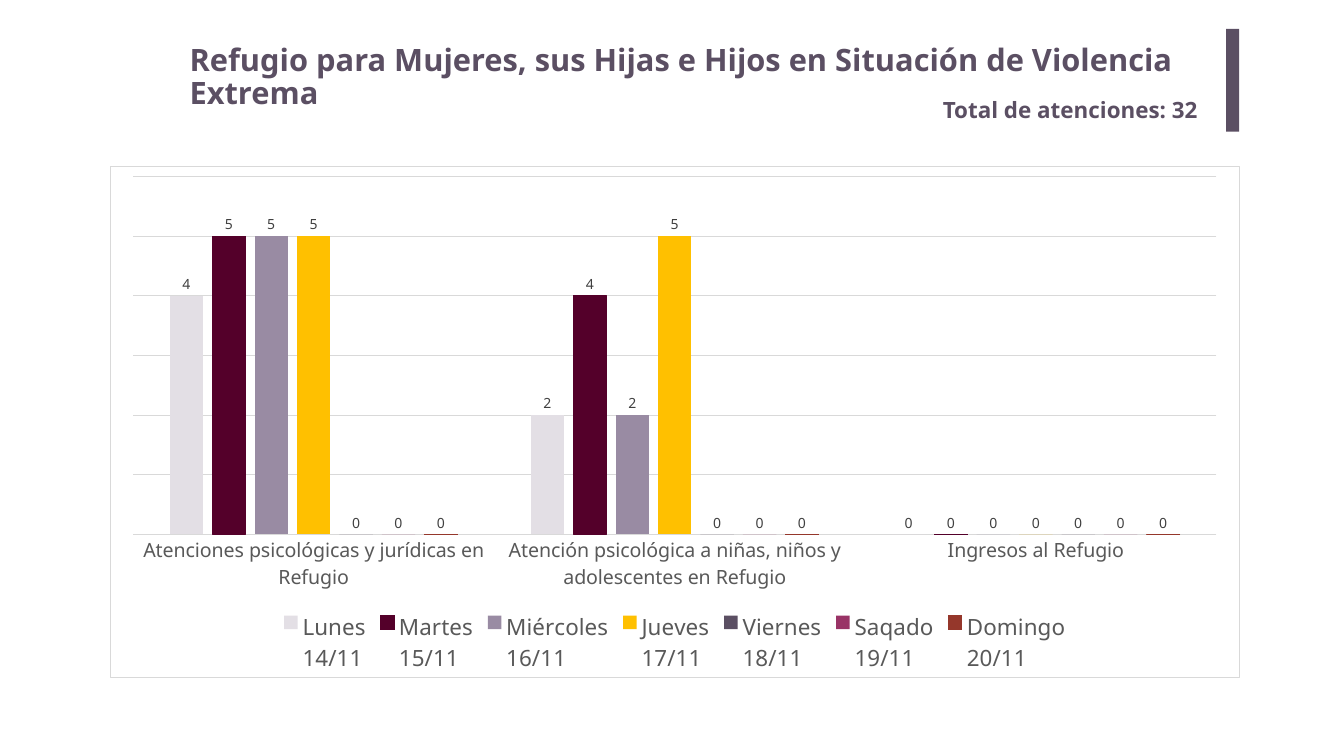
from dataclasses import dataclass

from lxml import etree
from pptx import Presentation
from pptx.chart.data import CategoryChartData
from pptx.dml.color import RGBColor
from pptx.enum import chart as ch, shapes, text
from pptx.oxml import ns, parse_xml
from pptx.util import Cm, Pt

FONT = "Noto Sans"
HUES = {
    "plum": "5B4F63", "white": "FFFFFF", "rule": "D9D9D9", "label": "404040",
    "axis": "595959", "mist": "E3DFE5", "wine": "54002A", "mauve": "998BA3",
    "gold": "FFC000", "rose": "993366", "brick": "95372B",
}


@dataclass
class Box:
    left: float
    top: float
    width: float
    height: float

    def cm(self) -> list:
        return [Cm(v) for v in (self.left, self.top, self.width, self.height)]


@dataclass
class Day:
    name: str
    date: int
    counts: tuple
    hue: str
    edged: bool = False


DAYS = [
    Day("Lunes", 14, (4, 2, 0), "mist"),
    Day("Martes", 15, (5, 4, 0), "wine", True),
    Day("Miércoles", 16, (5, 2, 0), "mauve"),
    Day("Jueves", 17, (5, 5, 0), "gold"),
    Day("Viernes", 18, (0, 0, 0), "plum"),
    Day("Saqado", 19, (0, 0, 0), "rose"),
    Day("Domingo", 20, (0, 0, 0), "brick", True),
]
GROUPS = [
    "Atenciones psicológicas y jurídicas en Refugio",
    "Atención psicológica a niñas, niños y adolescentes en Refugio",
    "Ingresos al Refugio",
]


def rgb(hue: str) -> RGBColor:
    return RGBColor.from_string(HUES[hue])


def style(font, size: float, hue: str, bold: bool = False) -> None:
    font.name, font.size, font.bold = FONT, Pt(size), bold
    font.color.rgb = rgb(hue)


def stroke(line, hue: str) -> None:
    line.color.rgb = rgb(hue)
    line.width = Pt(0.75)


def write(shape, box: Box, words: str, size: float, space: float = 1) -> None:
    shape.left, shape.top, shape.width, shape.height = box.cm()
    frame = shape.text_frame
    frame.word_wrap = True
    frame.auto_size = text.MSO_AUTO_SIZE.NONE
    frame.vertical_anchor = text.MSO_ANCHOR.TOP
    para = frame.paragraphs[0]
    para.alignment = text.PP_ALIGN.LEFT
    para.line_spacing = space
    run = para.add_run()
    run.text = words
    style(run.font, size, "plum", True)


def frame_chart(chart) -> None:
    """Set the plot area in place and give the chart a white ground and border."""
    root = chart._chartSpace
    space = ns.nsdecls("c", "a")
    spot = {"x": 0.02, "y": 0.02, "w": 0.96, "h": 0.7}
    sizes = "".join(f'<c:{k} val="{v}"/>' for k, v in spot.items())
    layout = parse_xml(
        f'<c:layout {space}><c:manualLayout><c:layoutTarget val="inner"/>'
        f'<c:xMode val="edge"/><c:yMode val="edge"/>{sizes}'
        "</c:manualLayout></c:layout>")
    area = root.find(ns.qn("c:chart")).find(ns.qn("c:plotArea"))
    for old in area.findall(ns.qn("c:layout")):
        area.remove(old)
    area.insert(0, layout)
    ground = parse_xml(
        f'<c:spPr {space}><a:solidFill><a:srgbClr val="{HUES["white"]}"/></a:solidFill>'
        f'<a:ln w="{Pt(0.75)}"><a:solidFill><a:srgbClr val="{HUES["rule"]}"/>'
        "</a:solidFill></a:ln></c:spPr>")
    root.find(ns.qn("c:chart")).addnext(ground)


def add_days(slide, box: Box) -> None:
    data = CategoryChartData()
    data.categories = GROUPS
    for day in DAYS:
        data.add_series(f"{day.name}\n{day.date}/11", day.counts)
    chart = slide.shapes.add_chart(
        ch.XL_CHART_TYPE.COLUMN_CLUSTERED, *box.cm(), data).chart
    chart.font.name, chart.font.size = FONT, Pt(10)
    chart.has_title = False

    # Axes
    cats, vals = chart.category_axis, chart.value_axis
    cats.major_tick_mark = ch.XL_TICK_MARK.NONE
    style(cats.tick_labels.font, 28, "axis")
    stroke(cats.format.line, "rule")
    vals.visible = False
    vals.minimum_scale, vals.maximum_scale, vals.major_unit = 0, 6, 1
    vals.has_major_gridlines = True
    stroke(vals.major_gridlines.format.line, "rule")

    # Legend
    chart.has_legend = True
    chart.legend.position = ch.XL_LEGEND_POSITION.BOTTOM
    chart.legend.include_in_layout = False
    style(chart.legend.font, 32, "axis")

    # Columns
    plot = chart.plots[0]
    plot.gap_width, plot.overlap = 219, -27
    plot.vary_by_categories = False
    for day, series in zip(DAYS, plot.series):
        series.format.fill.solid()
        series.format.fill.fore_color.rgb = rgb(day.hue)
        if day.edged:
            stroke(series.format.line, day.hue)
        labels = series.data_labels
        labels.show_value = True
        labels.position = ch.XL_LABEL_POSITION.OUTSIDE_END
        style(labels.font, 20, "label")
    frame_chart(chart)


deck = Presentation()
deck.slide_width, deck.slide_height = Cm(67.74), Cm(38.1)
slide = deck.slides.add_slide(deck.slide_layouts[5])

# Accent bar
bar = slide.shapes.add_shape(
    shapes.MSO_SHAPE.RECTANGLE, *Box(61.8, 1.45, 0.66, 5.18).cm())
bar.shadow.inherit = False
bar.fill.solid()
bar.fill.fore_color.rgb = rgb("plum")
bar.line.fill.background()

# Heading and total
write(slide.shapes.title, Box(9.3, 2.13, 52.65, 2.13),
      "Refugio para Mujeres, sus Hijas e Hijos en Situación de Violencia Extrema",
      44, 0.9)
total = Box(47.27, 4.7, 13.6, 1.63)
write(slide.shapes.add_textbox(*total.cm()), total, "Total de atenciones: 32", 32)

# Daily counts
add_days(slide, Box(5.56, 8.36, 56.9, 25.8))

deck.save("out.pptx")
